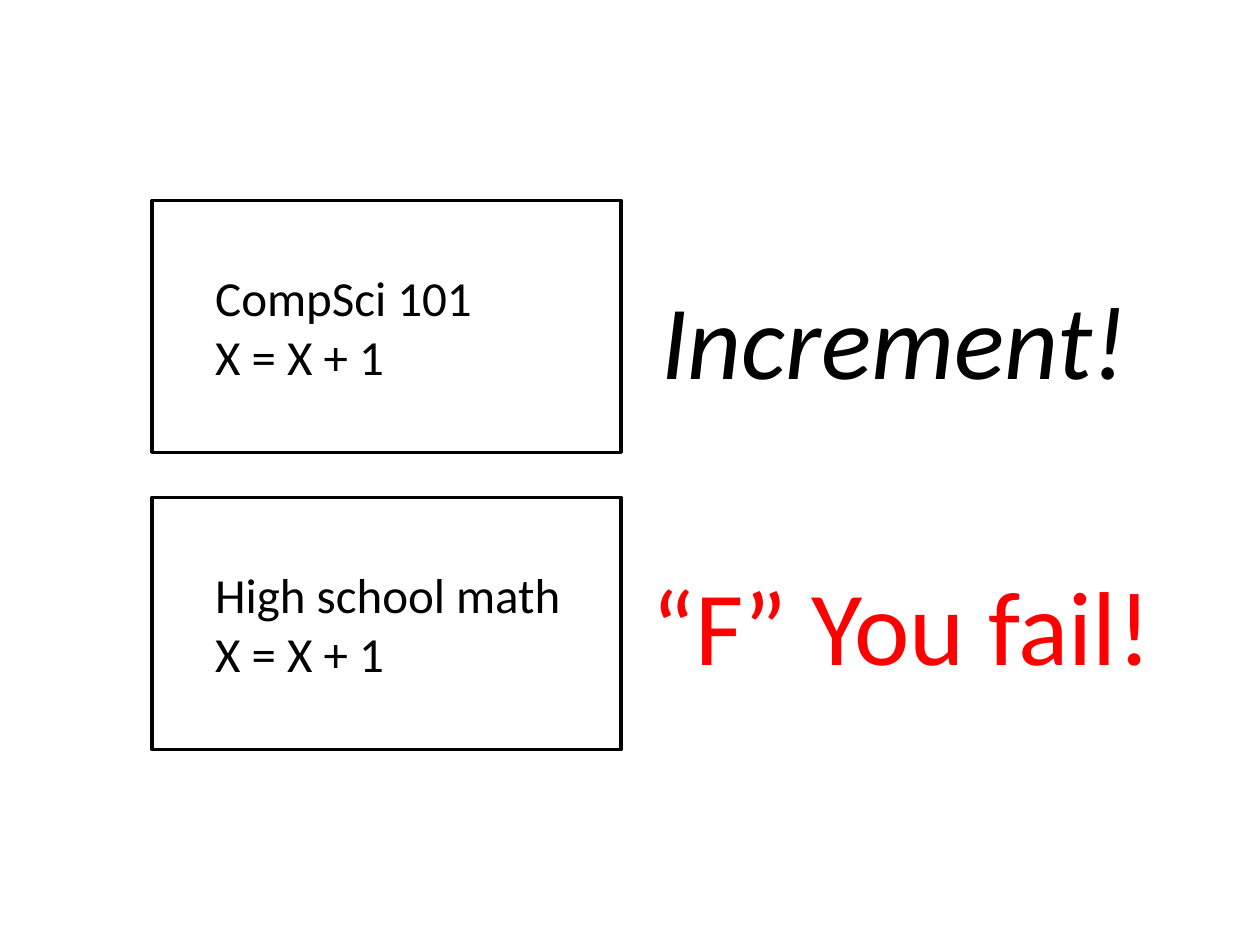
from pptx import Presentation
from pptx.dml.color import RGBColor
from pptx.enum.shapes import MSO_SHAPE
from pptx.enum.text import MSO_ANCHOR, MSO_AUTO_SIZE, PP_ALIGN
from pptx.util import Cm, Pt

RECTANGLE = MSO_SHAPE.RECTANGLE
MIDDLE = MSO_ANCHOR.MIDDLE
LEFT = PP_ALIGN.LEFT
FIT_SHAPE = MSO_AUTO_SIZE.SHAPE_TO_FIT_TEXT
BLANK_LAYOUT = 6

THEME = {
    "font": "Calibri",
    "ink": RGBColor(0, 0, 0),
    "paper": RGBColor(255, 255, 255),
    "fail": RGBColor(255, 0, 0),
    "card_size": Pt(28),
    "verdict_size": Pt(60),
    "line_width": Pt(2),
}


def set_attributes(target, values):
    for name, value in values.items():
        setattr(target, name, value)


def write_text(shape, text, color, font_format):
    paragraph = shape.text_frame.paragraphs[0]
    paragraph.text = text
    paragraph.alignment = LEFT
    for run in paragraph.runs:
        set_attributes(run.font, {"name": THEME["font"], **font_format})
        run.font.color.rgb = color


presentation = Presentation()
presentation.slide_width = Cm(25.4)
presentation.slide_height = Cm(19.05)
slide = presentation.slides.add_slide(presentation.slide_layouts[BLANK_LAYOUT])

card_frame = {
    "word_wrap": True,
    "vertical_anchor": MIDDLE,
    "margin_left": Cm(1.27),
    "margin_top": Cm(1.27),
    "margin_right": Cm(0.51),
    "margin_bottom": Cm(1.27),
}
cards = [
    ("CompSci 101", 4.04),
    ("High school math", 10.03),
]
for course, top in cards:
    card = slide.shapes.add_shape(RECTANGLE, Cm(3.07), Cm(top), Cm(9.45), Cm(5.08))
    card.shadow.inherit = False
    card.fill.solid()
    card.fill.fore_color.rgb = THEME["paper"]
    card.line.color.rgb = THEME["ink"]
    card.line.width = THEME["line_width"]
    set_attributes(card.text_frame, card_frame)
    write_text(card, f"{course}\vX = X + 1", THEME["ink"], {"size": THEME["card_size"]})

verdicts = [
    ("Increment!", 13.08, 5.41, 10.54, THEME["ink"], True),
    ("“F” You fail!", 12.88, 11.18, 10.9, THEME["fail"], False),
]
for text, left, top, width, color, italic in verdicts:
    verdict = slide.shapes.add_textbox(Cm(left), Cm(top), Cm(width), Cm(2.82))
    set_attributes(verdict.text_frame, {"word_wrap": False, "auto_size": FIT_SHAPE})
    write_text(verdict, text, color, {"size": THEME["verdict_size"], "italic": italic})

presentation.save("out.pptx")
